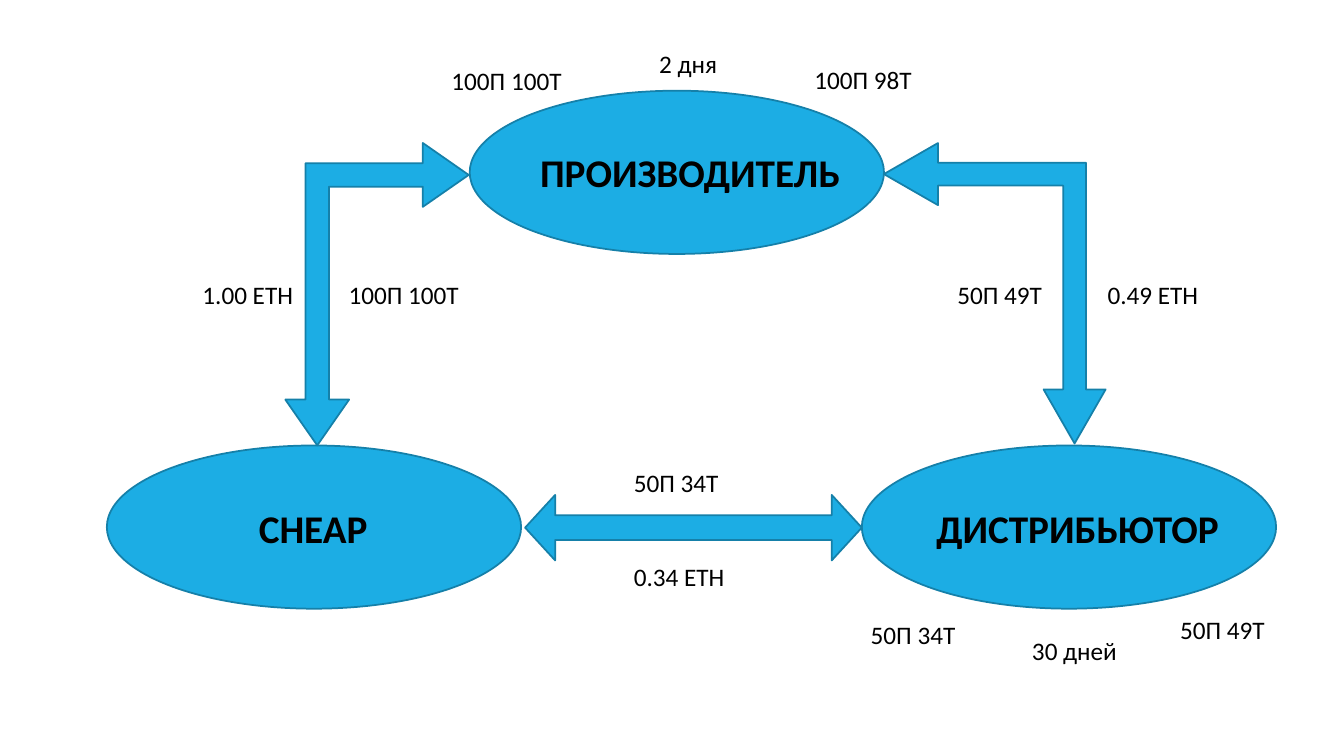
"""Build a slide showing the exchange between producer, distributor and CHEAP."""
from pptx import Presentation
from pptx.dml.color import RGBColor
from pptx.enum.shapes import MSO_SHAPE
from pptx.enum.text import MSO_AUTO_SIZE
from pptx.util import Pt

ELLIPSE = MSO_SHAPE.OVAL
ELBOW = MSO_SHAPE.LEFT_UP_ARROW
DOUBLE = MSO_SHAPE.LEFT_RIGHT_ARROW
FIT_SHAPE = MSO_AUTO_SIZE.SHAPE_TO_FIT_TEXT

prs = Presentation()
prs.slide_width, prs.slide_height = Pt(960), Pt(540)
s = prs.slides.add_slide(prs.slide_layouts[6])


def add_figure(kind, x, y, w, h, adjustments=(), flips=()):
    sp = s.shapes.add_shape(kind, Pt(x), Pt(y), Pt(w), Pt(h))
    sp.shadow.inherit = False
    sp.fill.solid()
    sp.fill.fore_color.rgb = RGBColor.from_string("1CADE4")
    sp.line.color.rgb = RGBColor.from_string("1580A9")
    sp.line.width = Pt(1.25)
    for i, value in enumerate(adjustments):
        sp.adjustments[i] = value
    for flip in flips:
        sp.element.spPr.xfrm.set(flip, "1")


def add_text(text, x, y, w, h=28.8, size=18, bold=False, wrap=True):
    tf = s.shapes.add_textbox(Pt(x), Pt(y), Pt(w), Pt(h)).text_frame
    tf.word_wrap = wrap
    tf.auto_size = FIT_SHAPE
    r = tf.paragraphs[0].add_run()
    r.text = text
    r.font.name = "Calibri"
    r.font.size = Pt(size)
    r.font.bold = bold
    r.font.color.rgb = RGBColor.from_string("000000")


for x, y in [(335.5, 64.8), (615.6, 318.2), (76.3, 318.2)]:
    add_figure(ELLIPSE, x, y, 295.9, 116.6)

add_figure(ELBOW, 203.8, 102.2, 131, 216, (0.128, 0.174, 0.25), ("flipH", "flipV"))
add_figure(ELBOW, 631.4, 102.2, 158.4, 214.6, (0.103, 0.14, 0.244), ("flipV",))
add_figure(DOUBLE, 375.1, 353.5, 240.5, 46.8, (0.376, 0.459))

for name, x, y, w in [
    ("CHEAP", 177.8, 356.4, 143.3),
    ("ПРОИЗВОДИТЕЛЬ", 378.7, 102.2, 240.5),
    ("ДИСТРИБЬЮТОР", 661.7, 356.4, 226.8),
]:
    add_text(name, x, y, w, h=41, size=28, bold=True)

for label, x, y, w in [
    ("1.00 ETH", 137.5, 195.8, 88.6),
    ("100П 100Т", 241.9, 195.8, 124.6),
    ("100П 100Т", 315.4, 43.2, 113.8),
    ("2 дня", 463.7, 31, 109.4),
    ("100П 98Т", 574.6, 42.5, 113.8),
    ("0.49 ETH", 784.1, 195.8, 98.6),
    ("50П 49Т", 676.8, 195.8, 124.6),
    ("50П 49Т", 835.9, 435.6, 124.1),
    ("30 дней", 730.1, 450, 90.7),
    ("50П 34Т", 614.9, 438.5, 124.6),
    ("0.34 ETH", 445.7, 397.4, 98.6),
]:
    add_text(label, x, y, w)
add_text("50П 34Т", 445.7, 330.5, 78.5, wrap=False)

prs.save("out.pptx")
